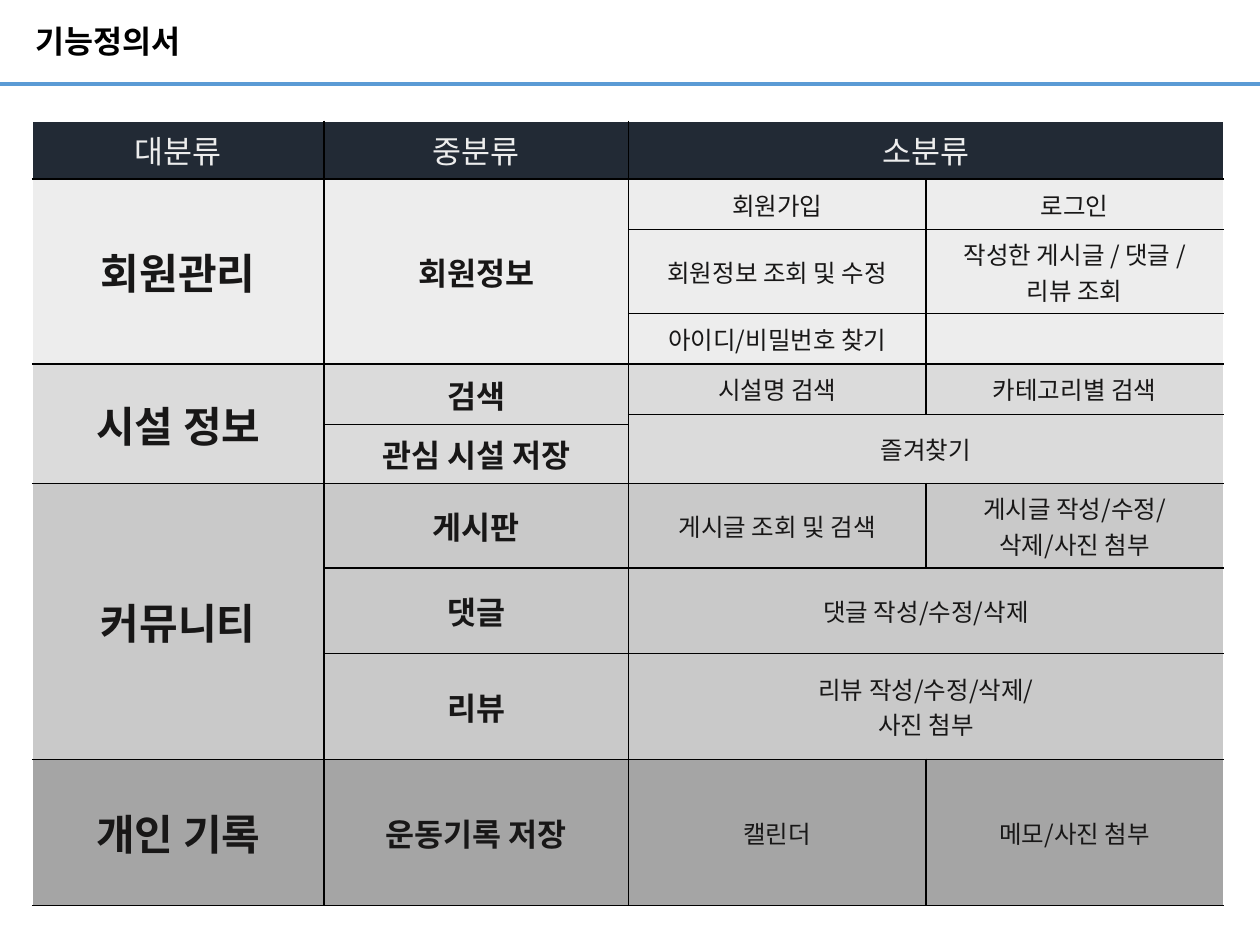
from pptx import Presentation
from pptx import util as u
from pptx.dml.color import RGBColor
from pptx.enum import shapes, text
from pptx.oxml.ns import qn
from lxml import etree

COLORS = {
    "black": "000000", "white": "FFFFFF", "rule": "5B9BD5",
    "header": "222A35", "header_text": "EDEDED", "body_text": "181717",
    "member": "EDEDED", "facility": "DBDBDB", "community": "C9C9C9", "record": "A5A5A5",
}
KOREAN_FONT = "Noto Sans CJK KR"
COLUMN_WIDTHS = [2.31, 2.42, 2.36, 2.36]
ROW_HEIGHTS = [0.42, 0.4, 0.59, 0.4, 0.4, 0.08, 0.47, 0.59, 0.68, 0.84, 1.16]
ROW_FILLS = ["header"] + ["member"] * 3 + ["facility"] * 3 + ["community"] * 3 + ["record"]
COLUMN_FORMATS = [
    {"size": u.Pt(24), "bold": True},
    {"size": u.Pt(18), "bold": True},
    {"size": u.Pt(14), "bold": False},
    {"size": u.Pt(14), "bold": False},
]
HEADER_FORMAT = {"size": u.Pt(18), "bold": False}
CELLS = [
    (0, 0, 1, 1, "대분류"),
    (0, 1, 1, 1, "중분류"),
    (0, 2, 1, 2, "소분류"),
    (1, 0, 3, 1, "회원관리"),
    (1, 1, 3, 1, "회원정보"),
    (1, 2, 1, 1, "회원가입"),
    (1, 3, 1, 1, "로그인"),
    (2, 2, 1, 1, "회원정보 조회 및 수정"),
    (2, 3, 1, 1, "작성한 게시글 / 댓글 /\n리뷰 조회"),
    (3, 2, 1, 1, "아이디/비밀번호 찾기"),
    (3, 3, 1, 1, ""),
    (4, 0, 3, 1, "시설 정보"),
    (4, 1, 2, 1, "검색"),
    (4, 2, 1, 1, "시설명 검색"),
    (4, 3, 1, 1, "카테고리별 검색"),
    (5, 2, 2, 2, "즐겨찾기"),
    (6, 1, 1, 1, "관심 시설 저장"),
    (7, 0, 3, 1, "커뮤니티"),
    (7, 1, 1, 1, "게시판"),
    (7, 2, 1, 1, "게시글 조회 및 검색"),
    (7, 3, 1, 1, "게시글 작성/수정/\n삭제/사진 첨부"),
    (8, 1, 1, 1, "댓글"),
    (8, 2, 1, 2, "댓글 작성/수정/삭제"),
    (9, 1, 1, 1, "리뷰"),
    (9, 2, 1, 2, "리뷰 작성/수정/삭제/\n사진 첨부"),
    (10, 0, 1, 1, "개인 기록"),
    (10, 1, 1, 1, "운동기록 저장"),
    (10, 2, 1, 1, "캘린더"),
    (10, 3, 1, 1, "메모/사진 첨부"),
]


class SlideBuilder:
    def __init__(self, slide):
        self.slide = slide

    def apply(self, target, values):
        for name, value in values.items():
            setattr(target, name, value)

    def color(self, name):
        return RGBColor.from_string(COLORS[name])

    def fill_text(self, frame, content, color, font, paragraph_format):
        frame.text = content
        for paragraph in frame.paragraphs:
            self.apply(paragraph, paragraph_format)
            run = paragraph.runs[0] if paragraph.runs else paragraph.add_run()
            self.apply(run.font, font)
            run.font.color.rgb = self.color(color)
            latin = run._r.get_or_add_rPr().find(qn("a:latin"))
            latin.addnext(etree.Element(qn("a:ea"), typeface=KOREAN_FONT))

    def line(self, left, top, right, bottom, color, width):
        connector = self.slide.shapes.add_connector(
            shapes.MSO_CONNECTOR.STRAIGHT, *map(u.Inches, (left, top, right, bottom)))
        connector.line.color.rgb = self.color(color)
        connector.line.width = u.Pt(width)
        etree.SubElement(connector._element.spPr, qn("a:effectLst"))

    def title(self, content, left, top, width, height):
        box = self.slide.shapes.add_textbox(*map(u.Inches, (left, top, width, height)))
        self.apply(box.text_frame, {
            "word_wrap": True, "vertical_anchor": text.MSO_ANCHOR.MIDDLE,
            "margin_left": 0, "margin_top": 0, "margin_right": 0, "margin_bottom": 0,
        })
        self.fill_text(box.text_frame, content, "black",
                       {"name": "Arial", "size": u.Pt(18), "bold": True}, {"line_spacing": 0.9})

    def border(self, cell, sides):
        properties = cell._tc.get_or_add_tcPr()
        for index, (side, (color, width)) in enumerate(sides.items()):
            line = etree.Element(qn(f"a:ln{side}"), w=str(u.Pt(width)))
            fill = etree.SubElement(line, qn("a:solidFill"))
            etree.SubElement(fill, qn("a:srgbClr"), val=COLORS[color])
            properties.insert(index, line)

    def table(self, left, top):
        frame = self.slide.shapes.add_table(
            len(ROW_HEIGHTS), len(COLUMN_WIDTHS), u.Inches(left), u.Inches(top),
            u.Inches(sum(COLUMN_WIDTHS)), u.Inches(sum(ROW_HEIGHTS)))
        table = frame.table
        self.apply(table, {"first_row": False, "horz_banding": False})
        for column, width in zip(table.columns, COLUMN_WIDTHS):
            column.width = u.Inches(width)
        for row, height in zip(table.rows, ROW_HEIGHTS):
            row.height = u.Inches(height)
        for row, column, row_span, column_span, content in CELLS:
            cell = table.cell(row, column)
            last_column = column + column_span - 1
            if row_span * column_span > 1:
                cell.merge(table.cell(row + row_span - 1, last_column))
            cell.vertical_anchor = text.MSO_ANCHOR.MIDDLE
            cell.fill.solid()
            cell.fill.fore_color.rgb = self.color(ROW_FILLS[row])
            font = HEADER_FORMAT if row == 0 else COLUMN_FORMATS[column]
            self.fill_text(cell.text_frame, content, "header_text" if row == 0 else "body_text",
                           {"name": KOREAN_FONT, **font}, {"alignment": text.PP_ALIGN.CENTER})
            self.border(cell, {
                "L": ("white" if column == 0 else "black", 1),
                "R": ("white" if last_column == len(COLUMN_WIDTHS) - 1 else "black", 1),
                "T": ("white", 0.5) if row == 0 else ("black", 1),
                "B": ("black", 1),
            })


def main():
    presentation = Presentation()
    presentation.slide_width = u.Inches(10)
    presentation.slide_height = u.Inches(7.5)
    builder = SlideBuilder(presentation.slides.add_slide(presentation.slide_layouts[6]))
    builder.line(0, 0.67, 10, 0.67, "rule", 2.25)
    builder.table(0.26, 0.96)
    builder.title("기능정의서", 0.28, 0, 6.54, 0.68)
    presentation.save("out.pptx")


if __name__ == "__main__":
    main()
